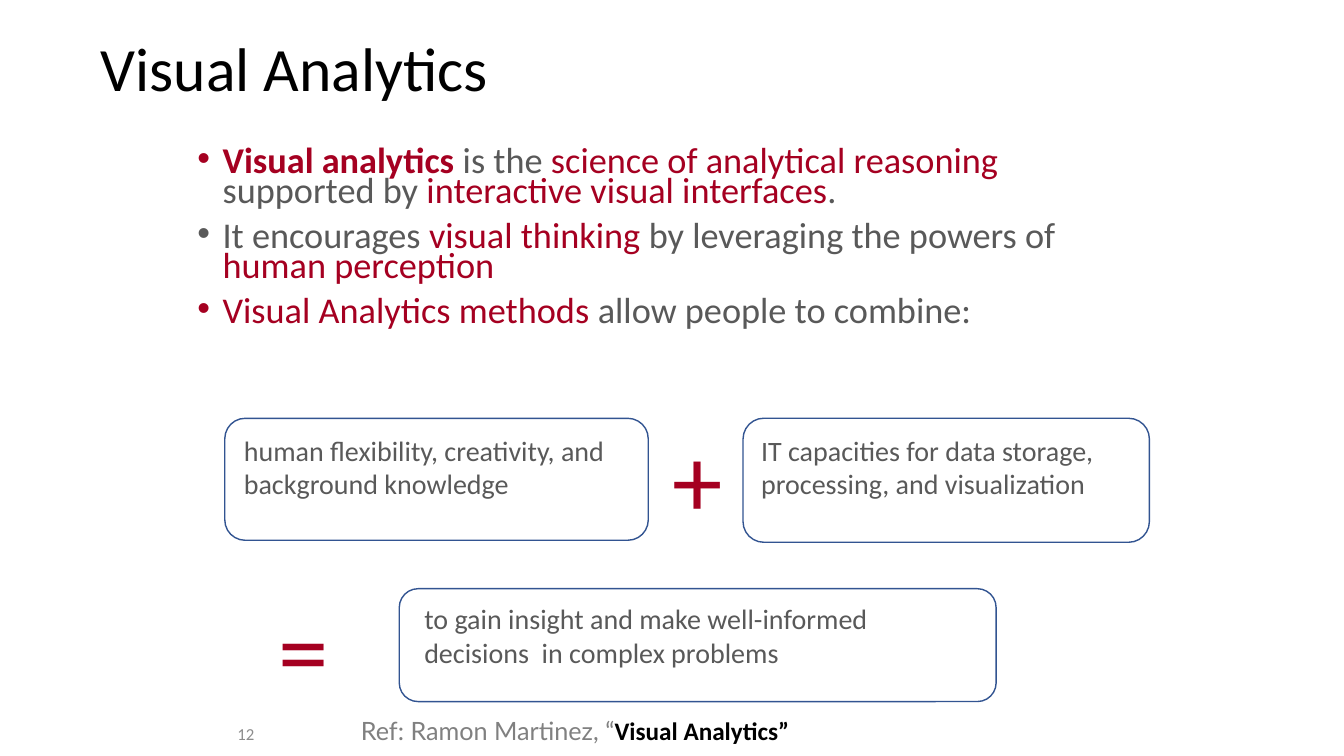
from dataclasses import dataclass

from lxml.etree import SubElement
from pptx import Presentation
from pptx.dml.color import RGBColor
from pptx.enum.shapes import MSO_SHAPE as Shape
from pptx.enum.text import MSO_ANCHOR as Anchor, PP_ALIGN as Align
from pptx.oxml.ns import qn
from pptx.util import Inches, Pt


@dataclass(frozen=True)
class Theme:
    font: str = "Calibri"
    reference_font: str = "Lato"
    black: str = "000000"
    body: str = "595959"
    accent: str = "A50021"
    outline: str = "325491"
    number: str = "8C8C8C"
    reference: str = "808080"
    title_size: float = 44
    bullet_size: float = 25.9
    card_size: float = 20
    operator_size: float = 72
    reference_size: float = 18
    number_size: float = 12


def add_text(paragraph, text, *, size, color, font=Theme.font, bold=False):
    run = paragraph.add_run()
    run.text = text
    run.font.name = font
    run.font.size = Pt(size)
    run.font.bold = bold
    run.font.color.rgb = RGBColor.from_string(color)


class SlideBuilder:
    def __init__(self, slide, theme):
        self.slide = slide
        self.theme = theme

    def text_box(self, box, anchor=Anchor.TOP, wrap=True):
        shape = self.slide.shapes.add_textbox(*map(Inches, box))
        frame = shape.text_frame
        frame.word_wrap = wrap
        frame.vertical_anchor = anchor
        return frame

    def title(self, text, box):
        paragraph = self.text_box(box, Anchor.MIDDLE).paragraphs[0]
        paragraph.line_spacing = 0.9
        add_text(paragraph, text, size=self.theme.title_size, color=self.theme.black)

    def bullets(self, items, box):
        frame = self.text_box(box)
        for index, parts in enumerate(items):
            paragraph = frame.add_paragraph() if index else frame.paragraphs[0]
            properties = paragraph._p.get_or_add_pPr()
            properties.set("marL", str(Inches(0.25)))
            properties.set("indent", str(-Inches(0.25)))
            SubElement(properties, qn("a:buFont")).set("typeface", "Arial")
            SubElement(properties, qn("a:buChar")).set("char", "•")
            paragraph.line_spacing = 0.7
            if index:
                paragraph.space_before = Pt(10)
            for text, color, bold in parts:
                add_text(paragraph, text, size=self.theme.bullet_size,
                         color=color, bold=bold)

    def card(self, text, outline_box, text_box):
        shape = self.slide.shapes.add_shape(
            Shape.ROUNDED_RECTANGLE, *map(Inches, outline_box))
        shape.shadow.inherit = False
        shape.fill.background()
        shape.line.color.rgb = RGBColor.from_string(self.theme.outline)
        shape.line.width = Pt(1)
        add_text(self.text_box(text_box).paragraphs[0], text,
                 size=self.theme.card_size, color=self.theme.body)

    def operator(self, symbol, left, top):
        add_text(self.text_box((left, top, 0.69, 1.31)).paragraphs[0], symbol,
                 size=self.theme.operator_size, color=self.theme.accent)

    def page_number(self, text, box):
        paragraph = self.text_box(box, Anchor.MIDDLE).paragraphs[0]
        paragraph.alignment = Align.RIGHT
        add_text(paragraph, text, size=self.theme.number_size, color=self.theme.number)

    def reference(self, source, work, box):
        paragraph = self.text_box(box, wrap=False).paragraphs[0]
        size = self.theme.reference_size
        add_text(paragraph, source, size=size, color=self.theme.reference,
                 font=self.theme.reference_font)
        add_text(paragraph, work, size=size, color=self.theme.black, bold=True)


def main():
    presentation = Presentation()
    presentation.slide_width = Inches(13.33)
    presentation.slide_height = Inches(7.5)
    theme = Theme()
    builder = SlideBuilder(
        presentation.slides.add_slide(presentation.slide_layouts[6]), theme)

    # Title and definition
    builder.title("Visual Analytics", (0.9, 0.08, 11.37, 1.26))
    body, accent = theme.body, theme.accent
    builder.bullets([
        [("Visual analytics ", accent, True),
         ("is the ", body, False),
         ("science of analytical reasoning", accent, False),
         (" supported by ", body, False),
         ("interactive visual interfaces", accent, False),
         (".", body, False)],
        [("It encourages ", body, False),
         ("visual thinking ", accent, False),
         ("by leveraging the powers of ", body, False),
         ("human perception", accent, False)],
        [("Visual Analytics methods ", accent, False),
         ("allow people to combine:", body, False)],
    ], (1.86, 1.43, 9.44, 2.25))

    # Equation: people + technology = insight
    builder.card("human ﬂexibility, creativity, and background knowledge",
                 (2.23, 4.15, 4.2, 1.21), (2.32, 4.25, 4.11, 0.77))
    builder.operator("+", 6.57, 4.08)
    builder.card("IT capacities for data storage, processing, and visualization",
                 (7.37, 4.15, 4.03, 1.23), (7.45, 4.25, 3.85, 0.77))
    builder.operator("=", 2.66, 5.77)
    builder.card("to gain insight and make well-informed decisions  in complex problems",
                 (3.96, 5.84, 5.92, 1.12), (4.11, 5.92, 5.56, 0.77))

    # Footer
    builder.page_number("12", (2.17, 7.08, 0.45, 0.4))
    builder.reference("Ref: Ramon Martinez, “", "Visual Analytics”",
                      (3.48, 7.05, 4.61, 0.4))

    presentation.save("out.pptx")


if __name__ == "__main__":
    main()
